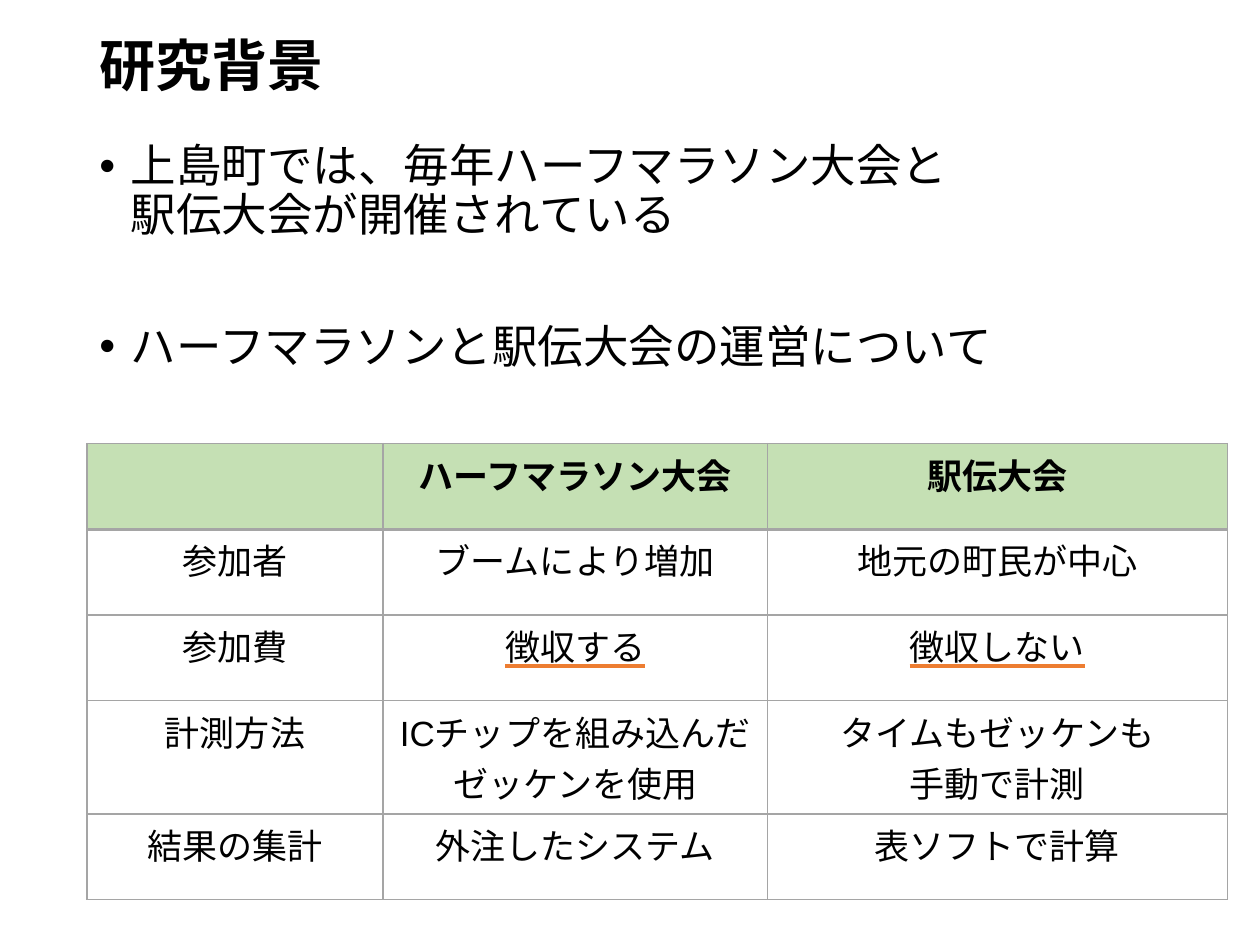
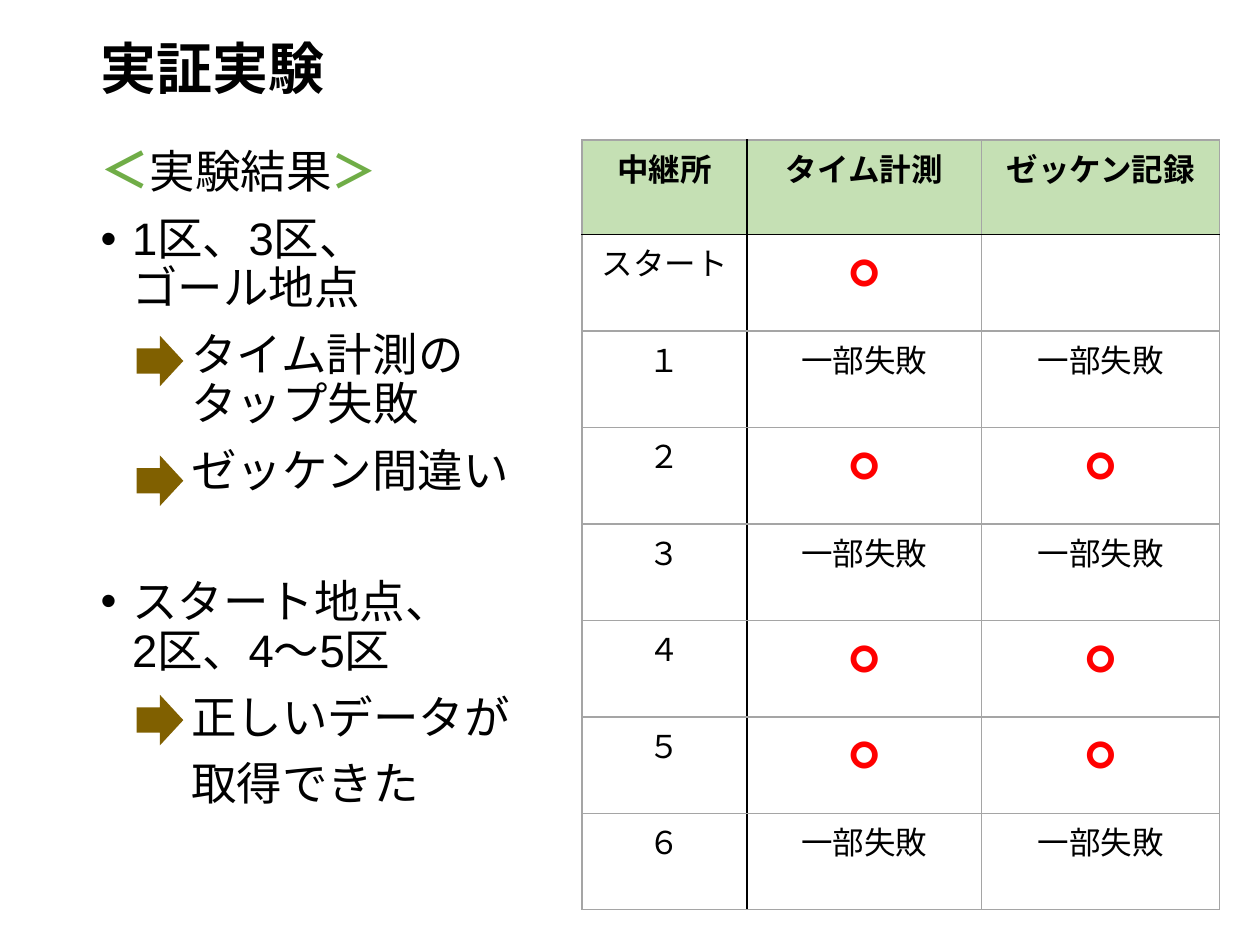
from lxml.etree import SubElement as Sub
from pptx import Presentation
from pptx.dml.color import RGBColor as RGB
from pptx.enum.lang import MSO_LANGUAGE_ID as Lang
from pptx.enum.shapes import MSO_SHAPE as Shape
from pptx.enum.text import MSO_ANCHOR as Anchor, MSO_UNDERLINE as Under, PP_ALIGN as Align
from pptx.oxml.ns import qn
from pptx.util import Inches, Pt

BLACK = RGB(0x00, 0x00, 0x00)
WHITE = RGB(0xFF, 0xFF, 0xFF)
GREY = RGB(0xA5, 0xA5, 0xA5)
MINT = RGB(0xC5, 0xE0, 0xB4)
GREEN = RGB(0x70, 0xAD, 0x47)
RED = RGB(0xFF, 0x00, 0x00)
ORANGE = RGB(0xED, 0x7D, 0x31)
BROWN = RGB(0x80, 0x60, 0x00)

COLS, ROWS = 100, 75
UNIT = Inches(0.1)
BODY = 26
GAP, WIDE = 10, 47
BULLET, INDENT = 2.5, 7.2
OK, FAIL = "○", "一部失敗"

FACTS = [
    ("上島町では、毎年ハーフマラソン大会と\n駅伝大会が開催されている", True, GAP),
    ("ハーフマラソンと駅伝大会の運営について", True, WIDE),
]
RACES = [
    ("", "ハーフマラソン大会", "駅伝大会"),
    ("参加者", "ブームにより増加", "地元の町民が中心"),
    ("参加費", "徴収する", "徴収しない"),
    ("計測方法", "ICチップを組み込んだゼッケンを使用", "タイムもゼッケンも\n手動で計測"),
    ("結果の集計", "外注したシステム", "表ソフトで計算"),
]
FINDS = [
    ("1区、3区、\nゴール地点", True, GAP),
    ("タイム計測の\nタップ失敗", False, GAP),
    ("ゼッケン間違い", False, GAP),
    ("スタート地点、\n2区、4～5区", True, WIDE),
    ("正しいデータが", False, GAP),
    ("取得できた", False, GAP),
]
STOPS = [
    ("中継所", "タイム計測", "ゼッケン記録"),
    ("スタート", OK, ""),
    ("１", FAIL, FAIL),
    ("２", OK, OK),
    ("３", FAIL, FAIL),
    ("４", OK, OK),
    ("５", OK, OK),
    ("６", FAIL, FAIL),
]


def span(*cells):
    """Turn grid cells into lengths."""
    return [int(cell * UNIT) for cell in cells]


def style(run, size, face="Arial", color=BLACK, bold=False):
    """Format one run."""
    font = run.font
    font.size, font.name, font.bold = Pt(size), face, bold
    font.color.rgb = color
    font.language_id = Lang.JAPANESE


def tint(node, color):
    """Add a solid fill to an XML node."""
    Sub(Sub(node, qn("a:solidFill")), qn("a:srgbClr")).set("val", str(color))


def mark(run):
    """Underline a run in orange."""
    run.font.underline = Under.HEAVY_LINE
    line = Sub(run.font._element, qn("a:uFill"))
    tint(line, ORANGE)
    run.font._element.find(qn("a:solidFill")).addnext(line)


def frame(slide, *box):
    """Add a wrapping text box."""
    text = slide.shapes.add_textbox(*span(*box)).text_frame
    text.word_wrap = True
    return text


def title(slide, text, left, top):
    """Add the slide title."""
    area = frame(slide, left, top, 86.1, 10.9)
    area.vertical_anchor = Anchor.MIDDLE
    area.text = text
    area.paragraphs[0].line_spacing = 0.9
    style(area.paragraphs[0].runs[0], 32, "Calibri", bold=True)


def item(para, text, dot, before):
    """Write a bulleted or indented paragraph."""
    para.text = text
    para.line_spacing, para.space_before = 0.9, Pt(before)
    props = para._p.get_or_add_pPr()
    left, = span(BULLET if dot else INDENT)
    props.set("marL", str(left))
    props.set("indent", str(-left if dot else 0))
    if dot:
        Sub(props, qn("a:buFont")).set("typeface", "Arial")
        Sub(props, qn("a:buChar")).set("char", "•")
    for run in para.runs:
        style(run, BODY)


def items(area, rows, fresh=True):
    """Write paragraphs, the first in place when the frame is fresh."""
    for num, row in enumerate(rows):
        first = fresh and num == 0
        item(area.paragraphs[0] if first else area.add_paragraph(), *row)


def label(para, text):
    """Write a heading in green brackets."""
    para.line_spacing, para.space_before = 0.9, Pt(GAP)
    parts = (("＜", 28, GREEN), (text, BODY, BLACK), ("＞", BODY, GREEN))
    for part, size, color in parts:
        run = para.add_run()
        run.text = part
        style(run, size, "Calibri", color, color == GREEN)


def edge(cell, side, color, width=1):
    """Draw one border of a cell."""
    line = Sub(cell._tc.get_or_add_tcPr(), qn("a:ln" + side))
    line.set("w", str(Pt(width)))
    tint(line, color)


def fill(cell, text, size, face, head, under):
    """Write and format the text of a cell."""
    cell.margin_left = cell.margin_right = Inches(0.07)
    cell.margin_top = cell.margin_bottom = Inches(0.04)
    cell.text = text
    for para in cell.text_frame.paragraphs:
        para.alignment = Align.CENTER
        for run in para.runs:
            if text == OK:
                style(run, 30, face, RED, True)
            else:
                style(run, size, face, bold=head)
            if under:
                mark(run)


def grid(slide, data, left, top, cols, rows, size, faces, rule, spine, under=None):
    """Add a table with a header rule and a spine after the first column."""
    box = span(left, top, sum(cols), sum(rows))
    table = slide.shapes.add_table(len(rows), len(cols), *box).table
    table.first_row = table.horz_banding = False
    for col, width in zip(table.columns, span(*cols)):
        col.width = width
    for row, high in zip(table.rows, span(*rows)):
        row.height = high
    for y, line in enumerate(data):
        for x, text in enumerate(line):
            cell = table.cell(y, x)
            fill(cell, text, size, faces[x], y == 0, y == under and x > 0)
            edge(cell, "L", spine if x == 1 else GREY)
            edge(cell, "R", spine if x == 0 else GREY)
            edge(cell, "T", *(rule if y == 1 else (GREY,)))
            edge(cell, "B", *(rule if y == 0 else (GREY,)))
            cell.fill.solid()
            cell.fill.fore_color.rgb = MINT if y == 0 else WHITE


def arrow(slide, top):
    """Add a brown arrow that points right."""
    shape = slide.shapes.add_shape(Shape.DOWN_ARROW, *span(10.7, top, 4, 3.7))
    shape.rotation = 270
    shape.shadow.inherit = False
    shape.fill.solid()
    shape.fill.fore_color.rgb = BROWN
    shape.line.fill.background()


def intro(slide):
    """Build the background slide."""
    title(slide, "研究背景", 6.9, 0)
    items(frame(slide, 6.9, 10.9, 91.4, 10.1), FACTS)
    high = [6.8, 6.8, 6.8, 9, 6.8]
    faces = ("Calibri", "Arial", "Arial")
    grid(slide, RACES, 6.9, 35.2, (23.5, 30.5, 36.5), high, 20, faces,
         (GREY, 2), GREY, under=2)


def trial(slide):
    """Build the experiment slide."""
    title(slide, "実証実験", 7, 0.2)
    area = frame(slide, 7, 11.1, 42.8, 41.8)
    label(area.paragraphs[0], "実験結果")
    items(area, FINDS, fresh=False)
    high = [7.5] + [7.66] * (len(STOPS) - 1)
    grid(slide, STOPS, 46.2, 11.1, (13.1, 18.6, 18.9), high, 18,
         ("Calibri",) * 3, (BLACK, 1), BLACK)
    for top in (26.8, 36.3, 55.3):
        arrow(slide, top)


def main():
    """Build and save the deck."""
    deck = Presentation()
    deck.slide_width, deck.slide_height = span(COLS, ROWS)
    for build in (intro, trial):
        build(deck.slides.add_slide(deck.slide_layouts[6]))
    deck.save("out.pptx")


if __name__ == "__main__":
    main()
